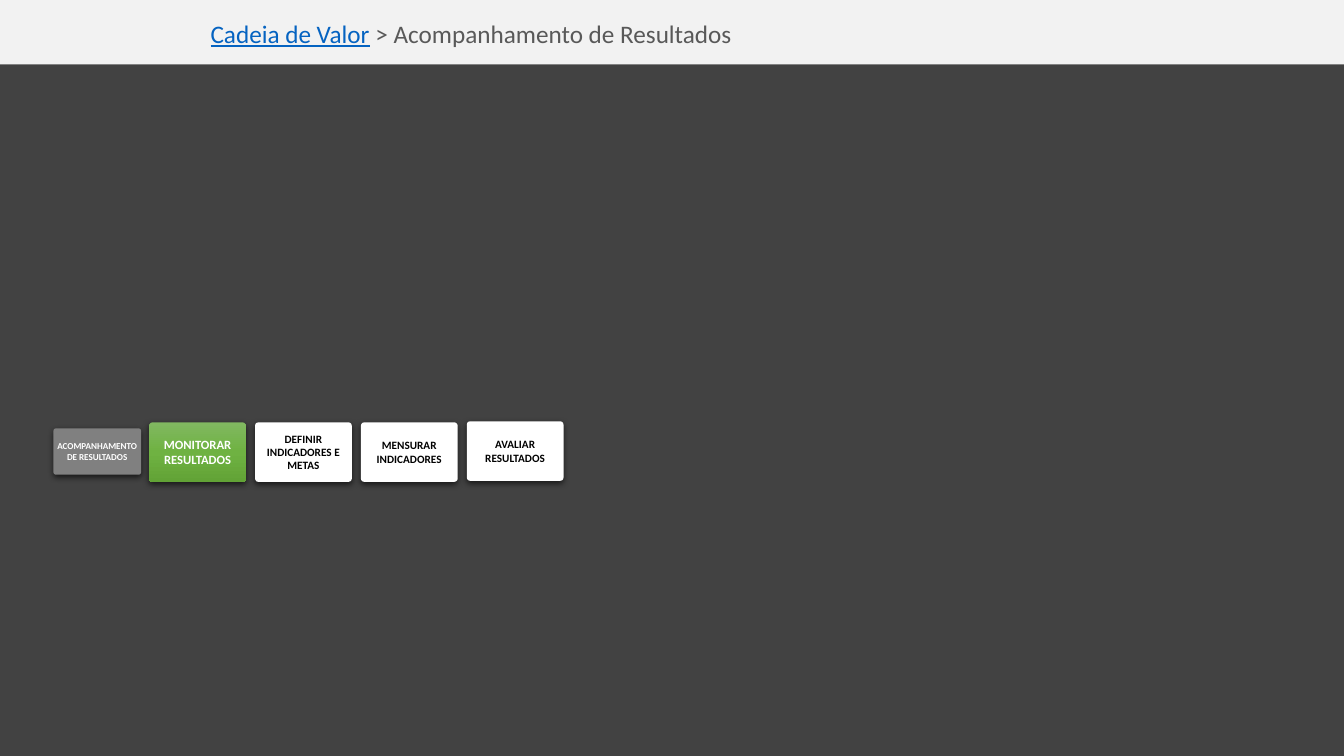
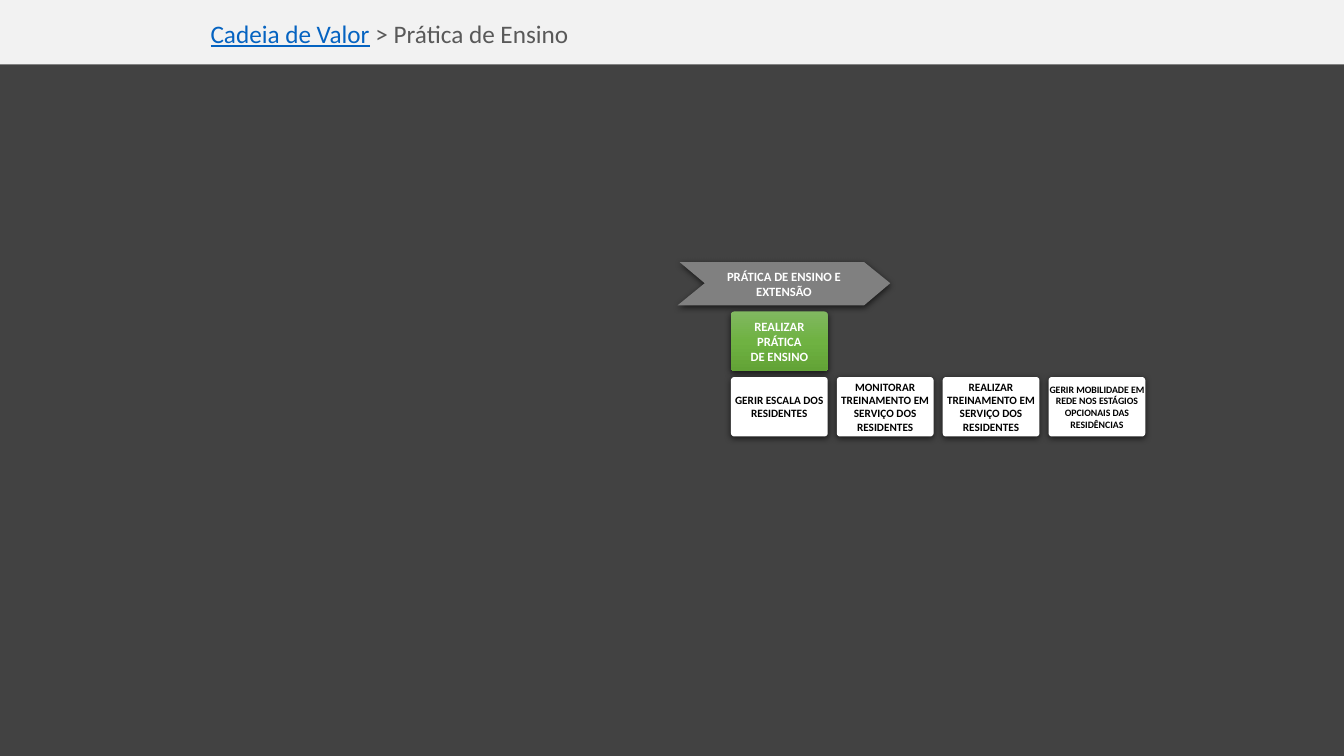
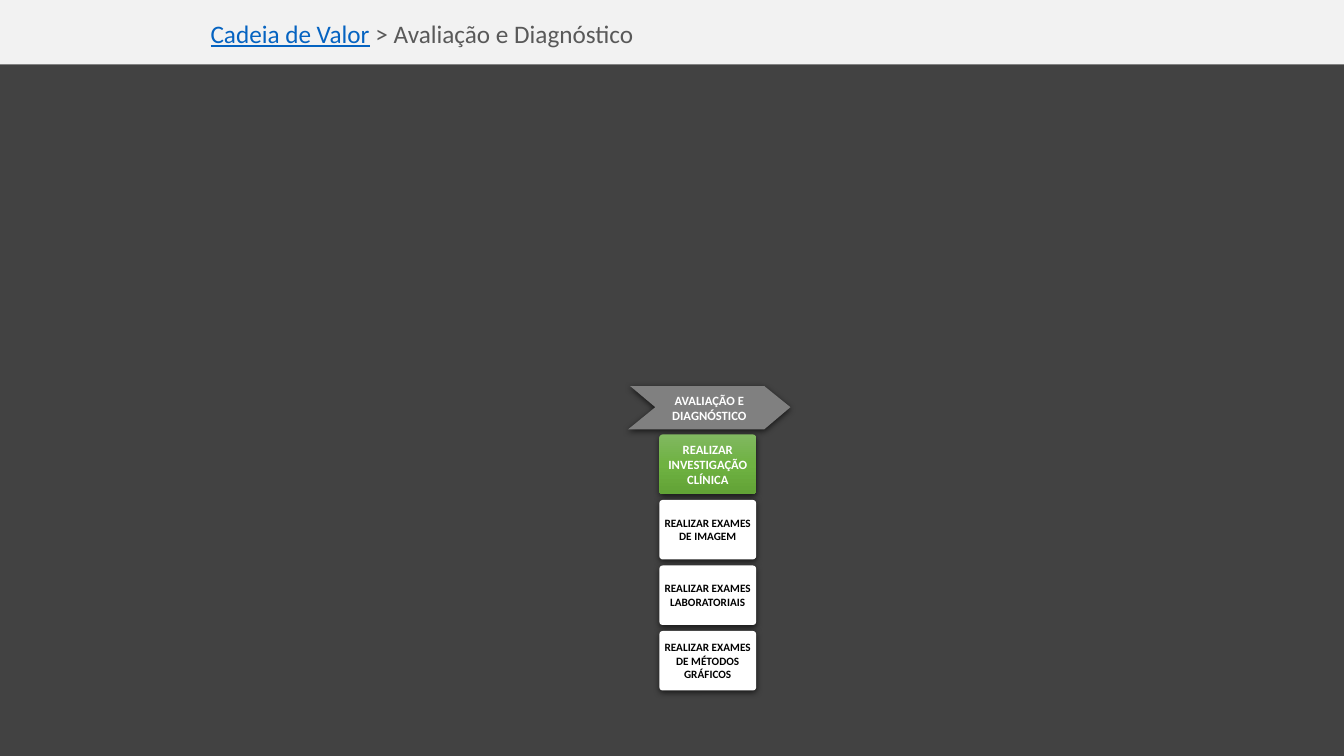
from copy import deepcopy
from dataclasses import dataclass

from lxml.etree import SubElement
from pptx import Presentation
from pptx.dml.color import RGBColor
from pptx.enum.shapes import MSO_SHAPE
from pptx.enum.text import MSO_ANCHOR, PP_ALIGN
from pptx.oxml.ns import qn
from pptx.util import Inches, Pt


@dataclass(frozen=True)
class Theme:
    font: str = "Calibri"
    band: str = "F2F2F2"
    body: str = "424242"
    link: str = "0563C1"
    title: str = "595959"
    area: str = "808080"
    white: str = "FFFFFF"
    black: str = "000000"
    process: tuple = ((0, "81B861"), (0.5, "6FB242"), (1, "62A336"))
    title_size: float = 18
    process_size: float = 9
    step_size: float = 8
    dense_size: float = 7
    small_size: float = 6.5


THEME = Theme()
SLIDE_WIDTH, SLIDE_HEIGHT, BAND_HEIGHT = 13.33, 7.5, 0.64
TILE_WIDTH, TILE_HEIGHT = 0.96, 0.59
COLUMN_PITCH, ROW_PITCH = 1.05, 0.65


# Text and fills
def add_run(paragraph, text, size, color, bold=False, underline=False):
    run = paragraph.add_run()
    run.text = text
    run.font.name = THEME.font
    run.font.size = Pt(size)
    run.font.bold = bold
    run.font.underline = underline
    run.font.color.rgb = RGBColor.from_string(color)


def write_label(shape, lines, size, color):
    frame = shape.text_frame
    frame.word_wrap = True
    frame.vertical_anchor = MSO_ANCHOR.MIDDLE
    frame.margin_left = frame.margin_right = 0
    frame.margin_top = frame.margin_bottom = 0
    for index, line in enumerate(lines):
        paragraph = frame.add_paragraph() if index else frame.paragraphs[0]
        paragraph.alignment = PP_ALIGN.CENTER
        add_run(paragraph, line, size, color, bold=True)


def paint(shape, color):
    shape.shadow.inherit = False
    shape.line.fill.background()
    shape.fill.solid()
    shape.fill.fore_color.rgb = RGBColor.from_string(color)


def paint_gradient(shape, stops):
    fill = shape.fill
    fill.gradient()
    fill.gradient_angle = 270
    stop_list = shape.element.spPr.find(qn("a:gradFill")).find(qn("a:gsLst"))
    stop_list.insert(1, deepcopy(stop_list[0]))
    for stop, (position, color) in zip(fill.gradient_stops, stops):
        stop.position = position
        stop.color.rgb = RGBColor.from_string(color)


def add_shadow(shape):
    effects = shape.element.spPr.find(qn("a:effectLst"))
    shadow = SubElement(effects, qn("a:outerShdw"), blurRad=str(Pt(4.5)),
                        dist=str(Pt(1.5)), dir="5400000", rotWithShape="0")
    color = SubElement(shadow, qn("a:srgbClr"), val=THEME.black)
    SubElement(color, qn("a:alpha"), val="63000")


# Diagram elements
def add_tile(slide, left, top, text, size, fill, color,
             width=TILE_WIDTH, height=TILE_HEIGHT):
    tile = slide.shapes.add_shape(MSO_SHAPE.ROUNDED_RECTANGLE, Inches(left),
                                  Inches(top), Inches(width), Inches(height))
    tile.adjustments[0] = 0.055
    paint(tile, fill)
    add_shadow(tile)
    write_label(tile, text.split("\n"), size, color)
    return tile


def add_process(slide, left, top, text):
    tile = add_tile(slide, left, top, text, THEME.process_size,
                    THEME.area, THEME.white)
    paint_gradient(tile, THEME.process)


def add_step(slide, left, top, text, size=THEME.step_size):
    add_tile(slide, left, top, text, size, THEME.white, THEME.black)


def add_area_arrow(slide, left, top, width, lines):
    right, middle, bottom = left + width, top + 0.21, top + 0.43
    outline = [(left + 0.02, top), (right - 0.26, top), (right, middle),
               (right - 0.26, bottom), (left, bottom), (left + 0.27, middle)]
    points = [(Inches(x), Inches(y)) for x, y in outline]
    builder = slide.shapes.build_freeform(*points[0])
    builder.add_line_segments(points[1:], close=True)
    arrow = builder.convert_to_shape()
    paint(arrow, THEME.area)
    add_shadow(arrow)
    write_label(arrow, lines, THEME.process_size, THEME.white)


# Shared slide frame
def add_slide(presentation, title):
    slide = presentation.slides.add_slide(presentation.slide_layouts[6])
    for top, height, color in (
            (0, BAND_HEIGHT, THEME.band),
            (BAND_HEIGHT, SLIDE_HEIGHT - BAND_HEIGHT, THEME.body)):
        band = slide.shapes.add_shape(MSO_SHAPE.RECTANGLE, 0, Inches(top),
                                      Inches(SLIDE_WIDTH), Inches(height))
        paint(band, color)
    box = slide.shapes.add_textbox(Inches(1.99), Inches(0.13),
                                   Inches(11.24), Inches(0.52))
    box.text_frame.word_wrap = True
    paragraph = box.text_frame.paragraphs[0]
    add_run(paragraph, "Cadeia de Valor", THEME.title_size, THEME.link,
            underline=True)
    add_run(paragraph, f" > {title}", THEME.title_size, THEME.title)
    return slide


# Slides
def build_results(presentation):
    slide = add_slide(presentation, "Acompanhamento de Resultados")
    left, top = 1.48, 4.19
    add_tile(slide, 0.53, 4.25, "ACOMPANHAMENTO DE RESULTADOS",
             THEME.small_size, THEME.area, THEME.white, 0.87, 0.46)
    add_process(slide, left, top, "MONITORAR RESULTADOS")
    steps = (("DEFINIR INDICADORES E METAS", top),
             ("MENSURAR INDICADORES", top),
             ("AVALIAR RESULTADOS", 4.18))
    for column, (text, step_top) in enumerate(steps, 1):
        add_step(slide, left + column * COLUMN_PITCH, step_top, text)


def build_teaching(presentation):
    slide = add_slide(presentation, "Prática de Ensino")
    left, top = 7.25, 3.09
    add_area_arrow(slide, 6.72, 2.6, 2.11, ("PRÁTICA DE ENSINO E", "EXTENSÃO"))
    add_process(slide, left, top, "REALIZAR PRÁTICA\nDE ENSINO")
    steps = (
        ("GERIR ESCALA DOS RESIDENTES", THEME.step_size),
        ("MONITORAR TREINAMENTO EM SERVIÇO DOS RESIDENTES", THEME.step_size),
        ("REALIZAR TREINAMENTO EM SERVIÇO DOS RESIDENTES", THEME.step_size),
        ("GERIR MOBILIDADE EM REDE NOS ESTÁGIOS OPCIONAIS DAS RESIDÊNCIAS",
         THEME.dense_size),
    )
    for column, (text, size) in enumerate(steps):
        add_step(slide, left + column * COLUMN_PITCH, top + ROW_PITCH,
                 text, size)


def build_diagnosis(presentation):
    slide = add_slide(presentation, "Avaliação e Diagnóstico")
    left, top = 6.54, 4.31
    add_area_arrow(slide, 6.23, 3.83, 1.61, ("AVALIAÇÃO E", "DIAGNÓSTICO"))
    add_process(slide, left, top, "REALIZAR INVESTIGAÇÃO CLÍNICA")
    steps = ("REALIZAR EXAMES DE IMAGEM", "REALIZAR EXAMES LABORATORIAIS",
             "REALIZAR EXAMES DE MÉTODOS GRÁFICOS")
    for row, text in enumerate(steps, 1):
        add_step(slide, left, top + row * ROW_PITCH, text)


def main():
    presentation = Presentation()
    presentation.slide_width = Inches(SLIDE_WIDTH)
    presentation.slide_height = Inches(SLIDE_HEIGHT)
    build_results(presentation)
    build_teaching(presentation)
    build_diagnosis(presentation)
    presentation.save("out.pptx")


if __name__ == "__main__":
    main()
